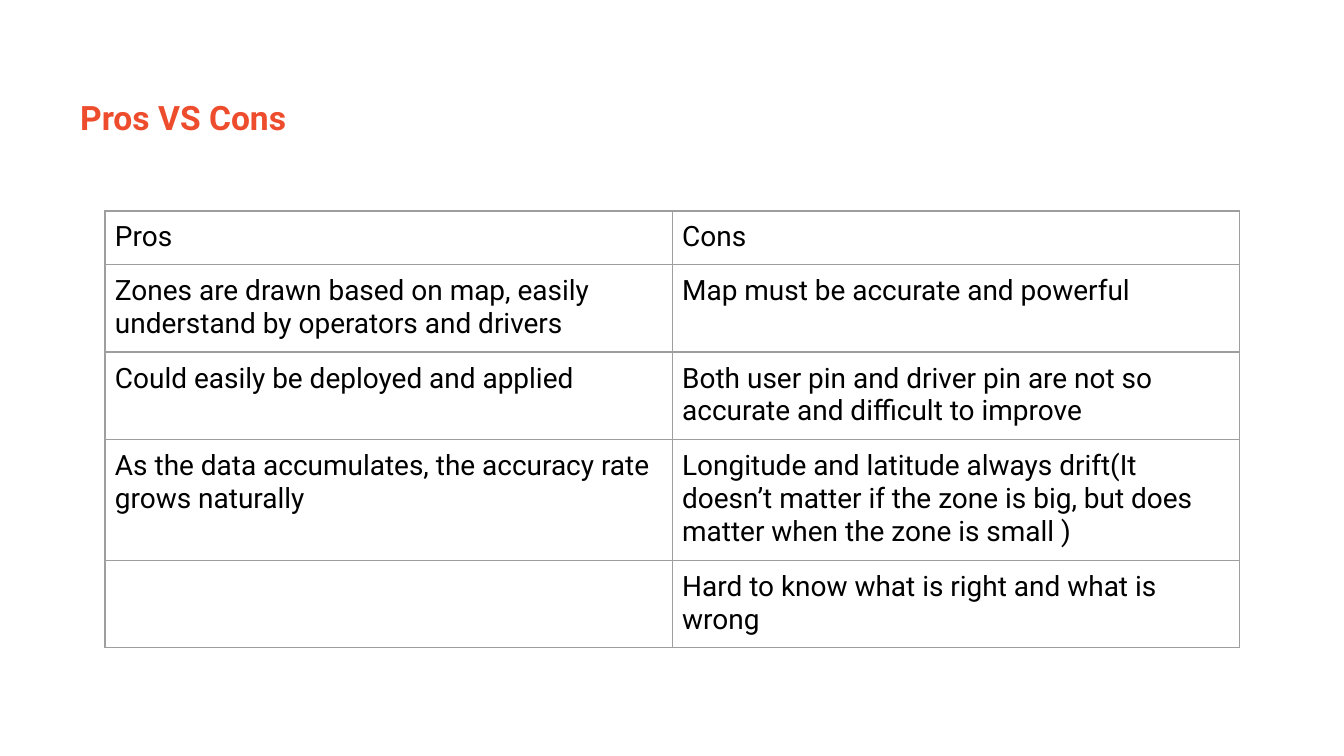
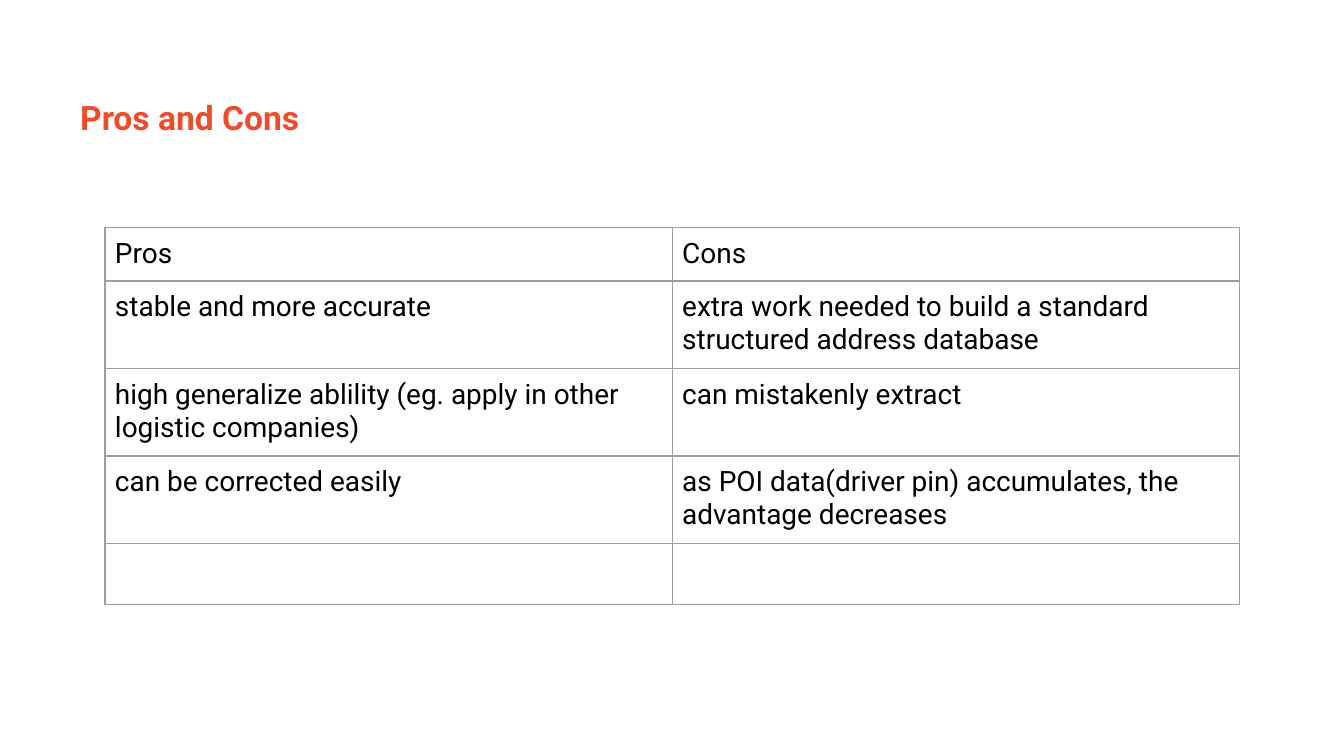
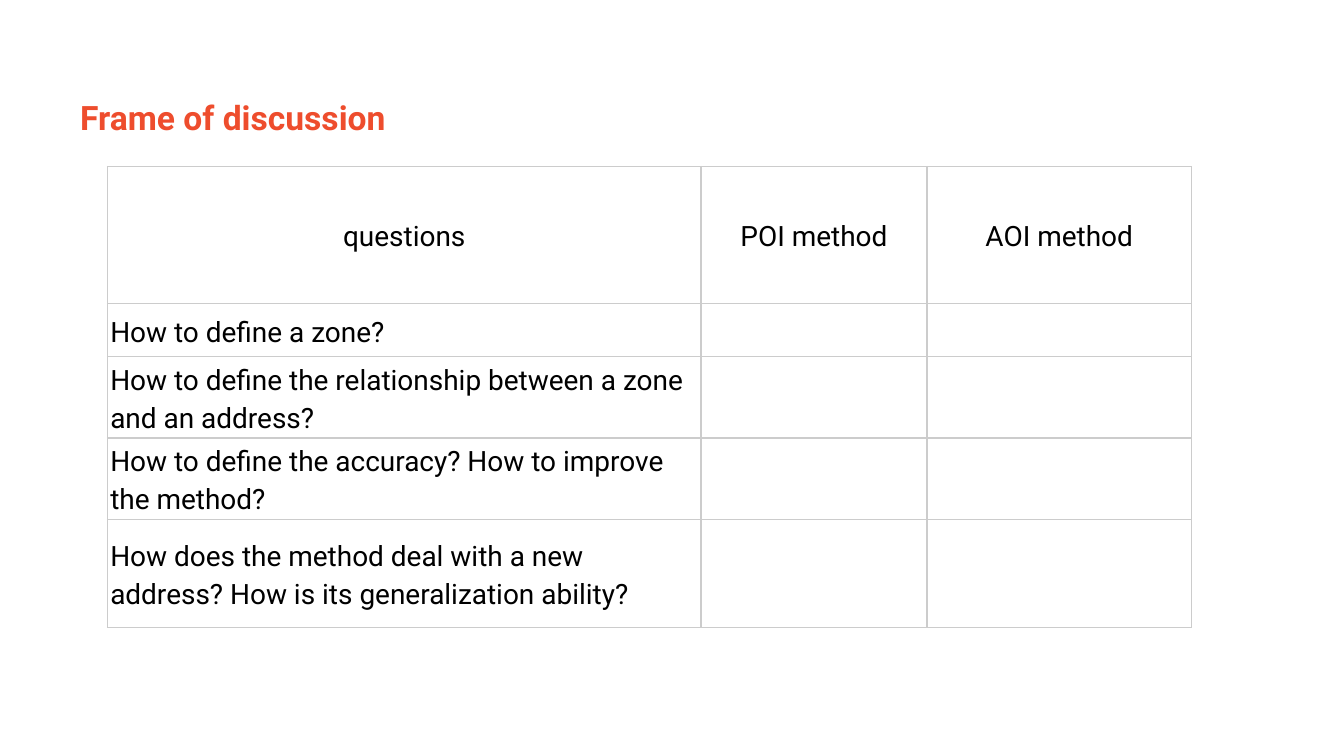
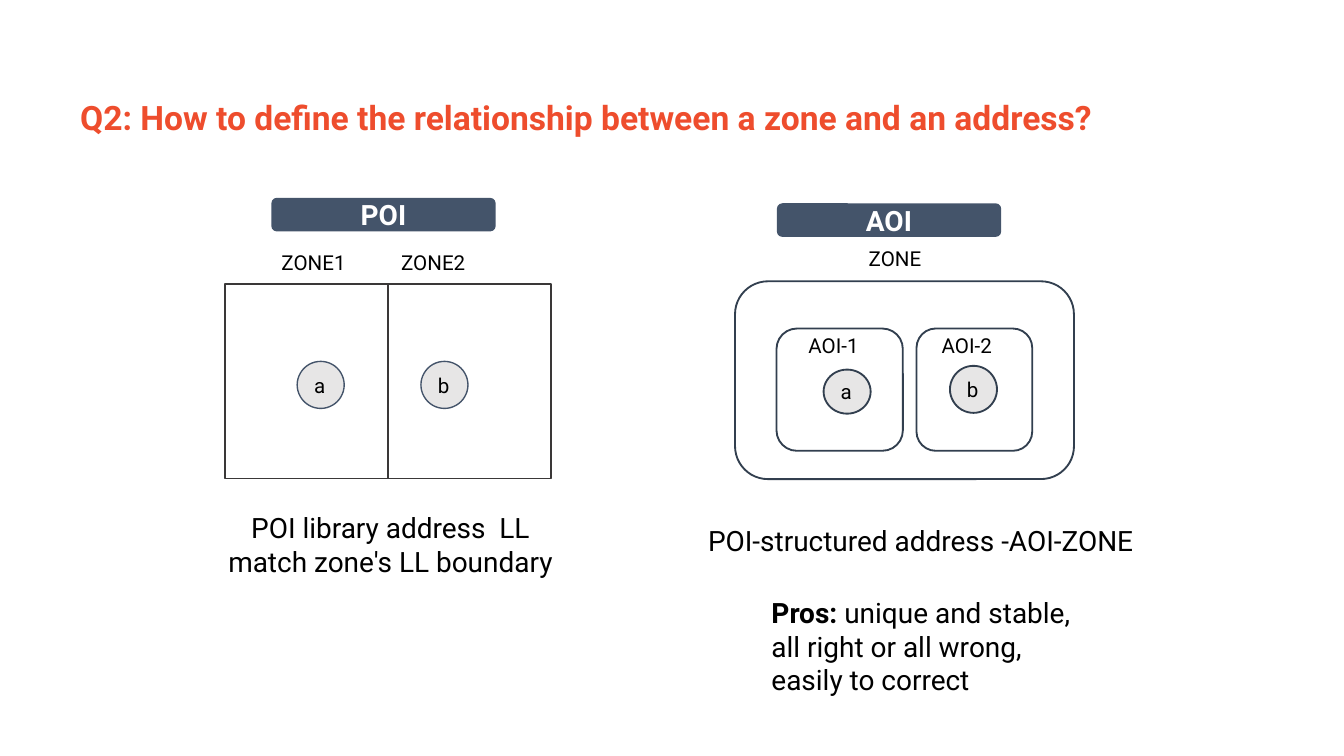
from pptx import Presentation
from pptx.dml.color import RGBColor
from pptx.enum.shapes import MSO_SHAPE as Shape
from pptx.enum.text import MSO_ANCHOR as Anchor, PP_ALIGN as Align
from pptx.oxml import parse_xml
from pptx.oxml.ns import nsdecls
from pptx.util import Pt

FONT = "Roboto"
ORANGE, BLACK, WHITE = "EE4D2D", "000000", "FFFFFF"
SLATE, NAVY, CHARCOAL, PALE = "44546A", "323F4F", "3A3838", "E7E6E6"


def color(hex_code):
    return RGBColor.from_string(hex_code)


def write(frame, text, size, hex_code=BLACK, bold=False, align=Align.LEFT,
          anchor=Anchor.TOP, insets=(5.4, 2.7), spacing=None):
    frame.text = text
    frame.word_wrap = True
    frame.vertical_anchor = anchor
    frame.margin_left = frame.margin_right = Pt(insets[0])
    frame.margin_top = frame.margin_bottom = Pt(insets[1])
    for paragraph in frame.paragraphs:
        paragraph.alignment = align
        paragraph.line_spacing = spacing
        for run in paragraph.runs:
            run.font.name = FONT
            run.font.size = Pt(size)
            run.font.bold = bold
            run.font.color.rgb = color(hex_code)


presentation = Presentation()
presentation.slide_width, presentation.slide_height = Pt(720), Pt(405)

titles = [
    "Pros VS Cons",
    "Pros and Cons",
    "Frame of discussion",
    "Q2: How to define the relationship between a zone and an address?",
]
slides = []
for title_text in titles:
    slide = presentation.slides.add_slide(presentation.slide_layouts[5])
    title = slide.shapes.title
    title.left, title.top, title.width, title.height = Pt(37.5), Pt(49), Pt(643.5), Pt(27.5)
    write(title.text_frame, title_text, 18, ORANGE, bold=True)
    slides.append(slide)

poi_rows = [
    ("Pros", "Cons"),
    ("Zones are drawn based on map, easily understand by operators and drivers",
     "Map must be accurate and powerful"),
    ("Could easily be deployed and applied",
     "Both user pin and driver pin are not so accurate and difficult to improve"),
    ("As the data accumulates, the accuracy rate grows naturally",
     "Longitude and latitude always drift(It doesn’t matter if the zone is big, "
     "but does matter when the zone is small )"),
    ("", "Hard to know what is right and what is wrong"),
]
aoi_rows = [
    ("Pros", "Cons"),
    ("stable and more accurate",
     "extra work needed to build a standard structured address database"),
    ("high generalize ablility (eg. apply in other logistic companies)",
     "can mistakenly extract"),
    ("can be corrected easily",
     "as POI data(driver pin) accumulates, the advantage decreases"),
    ("", ""),
]
question_rows = [
    ("questions", "POI method", "AOI method"),
    ("How to define a zone?", "", ""),
    ("How to define the relationship between a zone and an address?", "", ""),
    ("How to define the accuracy? How to improve the method?", "", ""),
    ("How does the method deal with a new address? How is its generalization ability?", "", ""),
]

comparison = dict(insets=(5.4, 5.4))
discussion = dict(insets=(1.5, 1.5), anchor=Anchor.MIDDLE, spacing=1.15)
halves = [303.9, 303.9]
tables = [
    (poi_rows, 56.2, 113, halves, [28.7, 46.9, 46.9, 64.8, 46.8], "9E9E9E", comparison, Align.LEFT),
    (aoi_rows, 56.2, 121.8, halves, [28.7, 46.9, 46.9, 46.9, 32.6], "9E9E9E", comparison, Align.LEFT),
    (question_rows, 57.6, 89.2, [318, 121, 141.8], [73.4, 28.6, 42.9, 42.9, 58], "CCCCCC",
     discussion, Align.CENTER),
]
for slide, (rows, left, top, widths, heights, border, style, header_align) in zip(slides, tables):
    table = slide.shapes.add_table(len(rows), len(widths), Pt(left), Pt(top),
                                   Pt(sum(widths)), Pt(sum(heights))).table
    table.first_row = table.horz_banding = False
    for column, width in zip(table.columns, widths):
        column.width = Pt(width)
    for row_index, (row, height) in enumerate(zip(rows, heights)):
        table.rows[row_index].height = Pt(height)
        for column_index, text in enumerate(row):
            cell = table.cell(row_index, column_index)
            write(cell.text_frame, text, 15, spacing=style.get("spacing"),
                  align=header_align if row_index == 0 else Align.LEFT)
            cell.margin_left = cell.margin_right = Pt(style["insets"][0])
            cell.margin_top = cell.margin_bottom = Pt(style["insets"][1])
            cell.vertical_anchor = style.get("anchor", Anchor.TOP)
            properties = cell._tc.get_or_add_tcPr()
            for side in "LRTB":
                properties.append(parse_xml(
                    f'<a:ln{side} {nsdecls("a")} w="9525"><a:solidFill>'
                    f'<a:srgbClr val="{border}"/></a:solidFill></a:ln{side}>'))
            cell.fill.background()

slide = slides[3]
circle = dict(size=11, anchor=Anchor.MIDDLE, insets=(5.4, 5.4))
banner = dict(size=15, hex_code=WHITE, bold=True, align=Align.CENTER,
              anchor=Anchor.MIDDLE, insets=(1.5, 1.5))
diagram = [
    (Shape.RECTANGLE, 120.7, 152, 87.2, 104.4, None, CHARCOAL, 1, "", {}),
    (Shape.RECTANGLE, 207.9, 152, 87.2, 104.4, None, CHARCOAL, 1, "", {}),
    (Shape.ROUNDED_RECTANGLE, 393.8, 150.7, 181.6, 106, None, NAVY, 1, "", {}),
    (Shape.ROUNDED_RECTANGLE, 416, 176, 67.7, 65.5, None, NAVY, 1, "", {}),
    (Shape.ROUNDED_RECTANGLE, 491, 176, 62, 65.5, None, NAVY, 1, "", {}),
    (Shape.OVAL, 159.2, 193.6, 25.2, 25.2, PALE, SLATE, 0.75, "a", circle),
    (Shape.OVAL, 225.5, 193.6, 25.2, 25.2, PALE, SLATE, 0.75, "b", circle),
    (Shape.OVAL, 441.2, 198, 25.2, 23.6, PALE, NAVY, 1, "a", circle),
    (Shape.OVAL, 508.9, 196, 25.2, 25.2, PALE, NAVY, 1, "b", circle),
    (Shape.ROUNDED_RECTANGLE, 145.4, 106, 120.2, 18, SLATE, None, 0, "POI", banner),
    (Shape.ROUNDED_RECTANGLE, 416.2, 108.9, 120.2, 18, SLATE, None, 0, "AOI", banner),
]
for kind, left, top, width, height, fill, line, weight, text, style in diagram:
    shape = slide.shapes.add_shape(kind, Pt(left), Pt(top), Pt(width), Pt(height))
    shape.shadow.inherit = False
    if fill:
        shape.fill.solid()
        shape.fill.fore_color.rgb = color(fill)
    else:
        shape.fill.background()
    if line:
        shape.line.color.rgb = color(line)
        shape.line.width = Pt(weight)
    else:
        shape.line.fill.background()
    if text:
        write(shape.text_frame, text, **style)

labels = [
    ("ZONE1", 145.4, 131, 55.4, 18, 11, Align.LEFT),
    ("ZONE2", 209.5, 131, 55.4, 18, 11, Align.LEFT),
    ("ZONE", 460, 128.9, 48.2, 18, 11, Align.LEFT),
    ("AOI-1", 427.7, 175.9, 44.6, 18, 11, Align.LEFT),
    ("AOI-2", 499, 175.9, 44.6, 18, 11, Align.LEFT),
    ("POI library address  LL\nmatch zone's LL boundary", 107, 270.9, 204.5, 41.8, 15, Align.CENTER),
    ("POI-structured address -AOI-ZONE", 363, 278, 260.6, 23.8, 15, Align.CENTER),
]
for text, left, top, width, height, size, align in labels:
    label = slide.shapes.add_textbox(Pt(left), Pt(top), Pt(width), Pt(height))
    write(label.text_frame, text, size, align=align)

pros = slide.shapes.add_textbox(Pt(394.6), Pt(316.8), Pt(218.9), Pt(59))
write(pros.text_frame, "Pros:\nall right or all wrong,\neasily to correct", 15, insets=(4.3, 2.2))
heading = pros.text_frame.paragraphs[0]
heading.runs[0].font.bold = True
detail = heading.add_run()
detail.text = " unique and stable,"
detail.font.name, detail.font.size = FONT, Pt(15)
detail.font.color.rgb = color(BLACK)
for paragraph in pros.text_frame.paragraphs:
    properties = paragraph._p.get_or_add_pPr()
    properties.set("marL", str(Pt(27.4)))
    properties.set("indent", str(Pt(-13)))

presentation.save("out.pptx")
